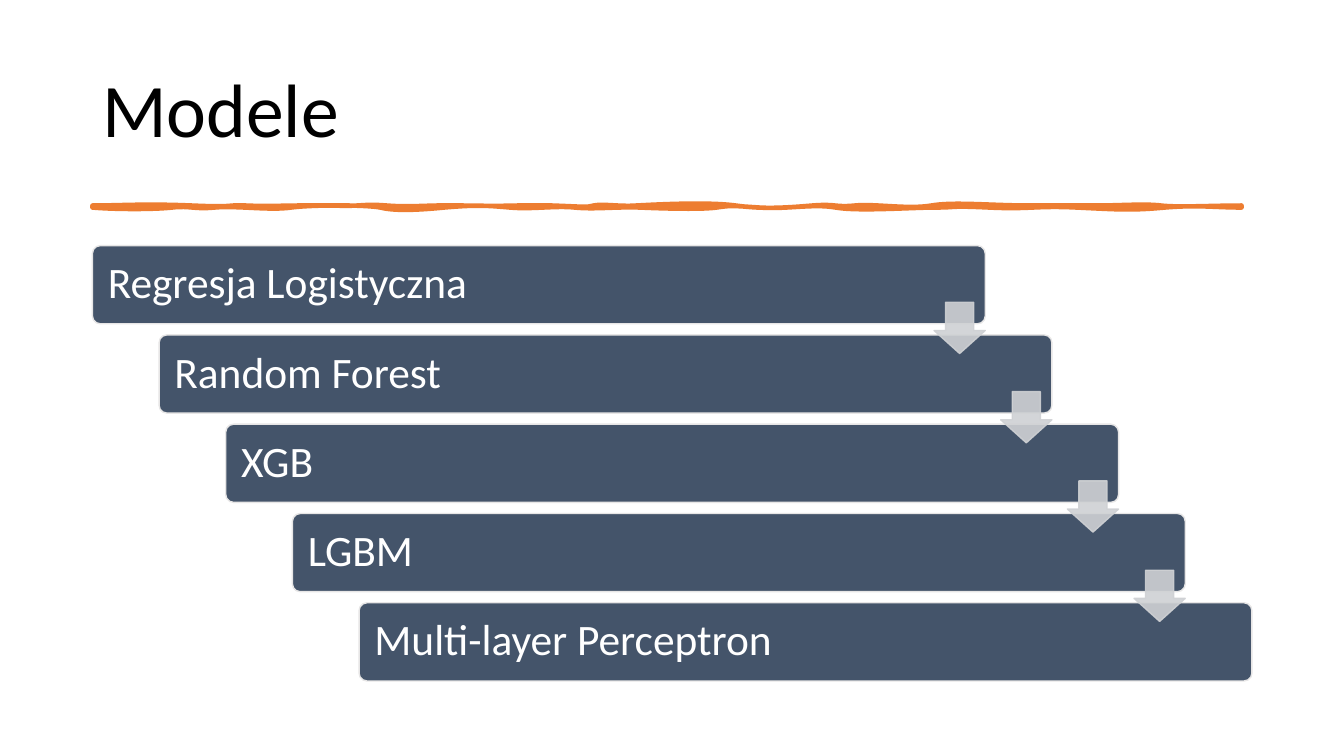
from pptx import Presentation
from pptx.dml.color import RGBColor
from pptx.enum.shapes import MSO_SHAPE as Shape
from pptx.enum.text import MSO_ANCHOR as Anchor, PP_ALIGN as Align
from pptx.oxml.ns import qn
from pptx.util import Cm, Pt

TITLE = "Modele"
MODELS = ["Regresja Logistyczna", "Random Forest", "XGB", "LGBM", "Multi-layer Perceptron"]

NAVY, PALE, GREY, ORANGE = "44546A", "E7E6E6", "CFD1D4", "ED7D31"

# Hand-drawn rule: start point, then cubic curves (two controls and an end), in cm
RULE_START = (2.33, 5.18)
RULE_CURVES = [
    (3.02, 5.18, 3.66, 5.13, 4.83, 5.18), (6.02, 5.23, 5.59, 5.16, 6.2, 5.18),
    (6.78, 5.21, 7.7, 5.16, 8.41, 5.18), (9.14, 5.21, 9.12, 5.13, 9.75, 5.18),
    (10.41, 5.23, 10.74, 5.16, 11.68, 5.18), (12.65, 5.21, 13.06, 5.16, 13.92, 5.18),
    (14.76, 5.21, 14.76, 5.23, 14.96, 5.18), (15.19, 5.13, 15.62, 5.21, 16.03, 5.18),
    (16.43, 5.16, 17.81, 5.08, 18.54, 5.18), (19.28, 5.28, 19.86, 5.23, 20.47, 5.18),
    (21.11, 5.13, 21.01, 5.23, 21.54, 5.18), (22.05, 5.13, 22.89, 5.28, 23.47, 5.18),
    (24.05, 5.08, 24.94, 5.18, 25.98, 5.18), (27.0, 5.18, 27.0, 5.18, 27.61, 5.18),
    (28.24, 5.18, 28.85, 5.13, 29.26, 5.18), (29.67, 5.23, 30.56, 5.18, 31.29, 5.18),
    (31.29, 5.21, 31.29, 5.21, 31.29, 5.23), (30.61, 5.23, 30.2, 5.16, 29.36, 5.23),
    (28.5, 5.31, 28.19, 5.28, 27.13, 5.23), (26.09, 5.18, 25.98, 5.28, 24.92, 5.23),
    (23.85, 5.18, 24.18, 5.23, 23.57, 5.23), (22.96, 5.23, 21.62, 5.33, 21.06, 5.23),
    (20.47, 5.13, 19.86, 5.28, 19.13, 5.23), (18.39, 5.18, 18.42, 5.18, 18.06, 5.23),
    (17.73, 5.28, 16.79, 5.26, 16.13, 5.23), (15.47, 5.21, 14.99, 5.28, 14.48, 5.23),
    (14.0, 5.18, 13.41, 5.28, 12.85, 5.23), (12.27, 5.18, 12.01, 5.16, 11.2, 5.23),
    (10.39, 5.31, 9.91, 5.31, 9.58, 5.23), (9.22, 5.16, 7.87, 5.16, 7.34, 5.23),
    (6.81, 5.31, 5.97, 5.18, 5.41, 5.23), (4.88, 5.28, 4.8, 5.18, 4.34, 5.23),
    (3.91, 5.28, 2.9, 5.28, 2.33, 5.23), (2.33, 5.21, 2.33, 5.21, 2.33, 5.18),
]

BAR_X, BAR_Y, BAR_W, BAR_H = 2.33, 6.19, 22.5, 1.97
ARROW_X, ARROW_Y, ARROW_SIZE = 23.54, 7.62, 1.29
STEP_X, STEP_Y = 1.68, 2.25


def rgb(color):
    return RGBColor.from_string(color)


def paint(sp, fill, line, width, alpha=None):
    """Set flat fill and outline; alpha is the opacity in percent."""
    sp.shadow.inherit = False
    sp.fill.solid()
    sp.fill.fore_color.rgb = rgb(fill)
    sp.line.color.rgb = rgb(line)
    sp.line.width = Pt(width)
    if alpha:
        for clr in sp._element.spPr.iter(qn("a:srgbClr")):
            clr.append(clr.makeelement(qn("a:alpha"), {"val": str(alpha * 1000)}))


def write(sp, text, size, color, inset):
    tf = sp.text_frame
    tf.word_wrap = True
    tf.vertical_anchor = Anchor.MIDDLE
    tf.margin_left = tf.margin_right = Cm(inset)
    p = tf.paragraphs[0]
    p.alignment = Align.LEFT
    p.line_spacing = 0.9
    r = p.add_run()
    r.text = text
    r.font.name, r.font.size = "Calibri", Pt(size)
    r.font.color.rgb = rgb(color)


def add_curves(s, start, curves):
    """Draw a closed outline of cubic curves, each from three freeform points."""
    builder = s.shapes.build_freeform(*map(Cm, start))
    points = [(Cm(c[i]), Cm(c[i + 1])) for c in curves for i in (0, 2, 4)]
    builder.add_line_segments(points, close=True)
    sp = builder.convert_to_shape()
    segments = list(sp._element.iter(qn("a:lnTo")))
    for i in range(0, len(segments), 3):
        curve = sp._element.makeelement(qn("a:cubicBezTo"), {})
        segments[i].addprevious(curve)
        for segment in segments[i:i + 3]:
            curve.append(segment[0])
            segment.getparent().remove(segment)
    return sp


def main():
    prs = Presentation()
    prs.slide_width, prs.slide_height = Cm(33.87), Cm(19.05)
    s = prs.slides.add_slide(prs.slide_layouts[6])

    title = s.shapes.add_textbox(Cm(2.33), Cm(1.01), Cm(29.21), Cm(3.68))
    write(title, TITLE, 54, "000000", 0.25)

    paint(add_curves(s, RULE_START, RULE_CURVES), ORANGE, ORANGE, 3.25)

    for i, model in enumerate(MODELS):
        bar = s.shapes.add_shape(Shape.ROUNDED_RECTANGLE, Cm(BAR_X + i * STEP_X),
                                 Cm(BAR_Y + i * STEP_Y), Cm(BAR_W), Cm(BAR_H))
        bar.adjustments[0] = 0.1
        paint(bar, NAVY, PALE, 1)
        write(bar, model, 31, "FFFFFF", 0.33)

    for i in range(len(MODELS) - 1):
        arrow = s.shapes.add_shape(Shape.DOWN_ARROW, Cm(ARROW_X + i * STEP_X),
                                   Cm(ARROW_Y + i * STEP_Y), Cm(ARROW_SIZE), Cm(ARROW_SIZE))
        arrow.adjustments[0], arrow.adjustments[1] = 0.55, 0.45
        paint(arrow, GREY, GREY, 1, alpha=90)

    prs.save("out.pptx")


if __name__ == "__main__":
    main()
